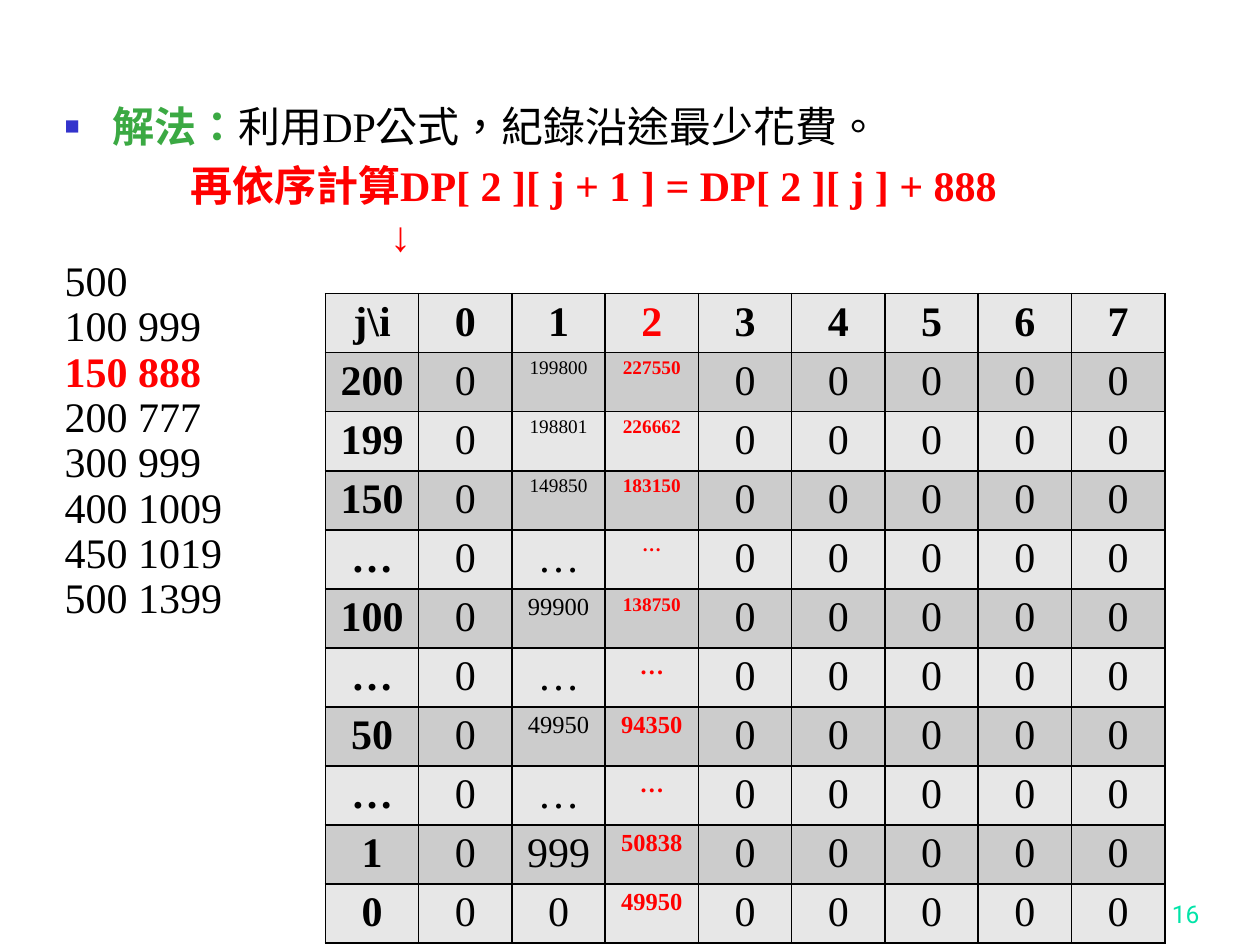
from dataclasses import dataclass

from lxml.etree import SubElement
from pptx import Presentation
from pptx.dml.color import RGBColor as Color
from pptx.enum.lang import MSO_LANGUAGE_ID as Language
from pptx.enum.text import MSO_ANCHOR as Anchor, MSO_AUTO_SIZE as AutoSize, PP_ALIGN as Align
from pptx.oxml.ns import qn
from pptx.util import Cm, Pt


@dataclass(frozen=True)
class Theme:
    serif: str = "Times New Roman"
    sans: str = "Roboto"
    black: str = "000000"
    red: str = "FF0000"
    green: str = "3BA943"
    bullet: str = "3333CC"
    number: str = "00E4A8"
    bands: tuple = ("E7E7E7", "CCCCCC")
    text: int = 24
    medium: int = 14
    small: int = 11


THEME = Theme()

# Content
PAGE_NUMBER = "16"
HEADING = [("解法：", THEME.green, True),
           ("利用DP公式，紀錄沿途最少花費。", THEME.black, False)]
FORMULA = "再依序計算DP[ 2 ][ j + 1 ] = DP[ 2 ][ j ] + 888"
ITEMS = ["500", "100 999", "150 888", "200 777", "300 999",
         "400 1009", "450 1019", "500 1399"]
CURRENT_ITEM = "150 888"

HEADER = ["j\\i", "0", "1", "2", "3", "4", "5", "6", "7"]
# Row label, then value and type size for columns 1 and 2
ROWS = [
    ("200", "199800", THEME.small, "227550", THEME.small),
    ("199", "198801", THEME.small, "226662", THEME.small),
    ("150", "149850", THEME.small, "183150", THEME.small),
    ("…", "…", THEME.text, "…", THEME.small),
    ("100", "99900", THEME.medium, "138750", THEME.small),
    ("…", "…", THEME.text, "…", THEME.medium),
    ("50", "49950", THEME.medium, "94350", THEME.medium),
    ("…", "…", THEME.text, "…", THEME.medium),
    ("1", "999", THEME.text, "50838", THEME.medium),
    ("0", "0", THEME.text, "49950", THEME.medium),
]
CURRENT_COLUMN = 3
COLUMN_WIDTH, ROW_HEIGHT = Cm(1.88), Cm(1.19)


def place(shape, left, top, width, height):
    shape.left, shape.top, shape.width, shape.height = map(Cm, (left, top, width, height))


def style(span, color, bold=False, size=THEME.text, name=THEME.serif):
    span.font.name, span.font.size, span.font.bold = name, Pt(size), bold
    span.font.color.rgb = Color.from_string(color)
    span.font.language_id = Language.TRADITIONAL_CHINESE


def write(para, spans):
    for text, color, bold in spans:
        span = para.add_run()
        span.text = text
        style(span, color, bold)


def indent(para, margin, bullet=False):
    props = para._p.get_or_add_pPr()
    props.set("marL", str(Cm(margin)))
    props.set("indent", str(-Cm(margin) if bullet else 0))
    if bullet:
        color = SubElement(props, qn("a:buClr"))
        SubElement(color, qn("a:srgbClr"), val=THEME.bullet)
        SubElement(props, qn("a:buSzPct"), val="60000")
        SubElement(props, qn("a:buChar"), char="■")
    else:
        SubElement(props, qn("a:buNone"))


def add_borders(cell):
    props = cell._tc.get_or_add_tcPr()
    for position, side in enumerate(("a:lnL", "a:lnR", "a:lnT", "a:lnB")):
        line = props.makeelement(qn(side), {"w": str(Pt(1))})
        fill = SubElement(line, qn("a:solidFill"))
        SubElement(fill, qn("a:srgbClr"), val=THEME.black)
        props.insert(position, line)


def fill_cell(cell, text, size, color, bold, band):
    # The low bottom margin keeps the text within the row height
    cell.margin_top, cell.margin_bottom = Cm(0.1), Cm(0.04)
    cell.margin_left = cell.margin_right = Cm(0.1)
    cell.fill.solid()
    cell.fill.fore_color.rgb = Color.from_string(band)
    add_borders(cell)
    para = cell.text_frame.paragraphs[0]
    para.text = text
    para.alignment = Align.CENTER
    style(para.runs[0], color, bold, size)


def add_page_number(page):
    box = page.shapes.add_textbox(0, 0, 0, 0)
    place(box, 19.15, 17.58, 5.28, 1.27)
    frame = box.text_frame
    frame.word_wrap = True
    frame.vertical_anchor = Anchor.BOTTOM
    frame.text = PAGE_NUMBER
    para = frame.paragraphs[0]
    para.alignment = Align.RIGHT
    style(para.runs[0], THEME.number, size=THEME.medium, name=THEME.sans)


def add_body(page):
    body = page.placeholders[1]
    place(body, 1.05, 1.9, 22.43, 15.62)
    frame = body.text_frame
    frame.auto_size = AutoSize.NONE

    # Spans, left margin in cm, space before, line spacing
    lines = [(HEADING, 0.96, 0, 1),
             ([(FORMULA, THEME.red, True)], 2.53, 4.8, 1),
             ([("↓", THEME.red, True)], 6.56, 0, 1)]
    for item in ITEMS:
        current = item == CURRENT_ITEM
        color = THEME.red if current else THEME.black
        lines.append(([(item, color, current)], 0, 0, 0.9))

    for index, (spans, margin, before, spacing) in enumerate(lines):
        para = frame.add_paragraph() if index else frame.paragraphs[0]
        indent(para, margin, bullet=index == 0)
        para.space_before, para.line_spacing = Pt(before), spacing
        write(para, spans)


def add_cost_table(page):
    grid = [[(text, THEME.text) for text in HEADER]]
    for label, first, first_size, second, second_size in ROWS:
        cells = [(label, THEME.text), ("0", THEME.text),
                 (first, first_size), (second, second_size)]
        grid.append(cells + [("0", THEME.text)] * (len(HEADER) - len(cells)))

    table = page.shapes.add_table(
        len(grid), len(HEADER), Cm(6.56), Cm(5.92),
        COLUMN_WIDTH * len(HEADER), ROW_HEIGHT * len(grid)).table
    table.first_row = table.horz_banding = False
    for column in table.columns:
        column.width = COLUMN_WIDTH
    for r, cells in enumerate(grid):
        table.rows[r].height = ROW_HEIGHT
        for c, (text, size) in enumerate(cells):
            current = c == CURRENT_COLUMN
            fill_cell(table.cell(r, c), text, size,
                      THEME.red if current else THEME.black,
                      r == 0 or c == 0 or current, THEME.bands[r % 2])


def main():
    deck = Presentation()
    deck.slide_width, deck.slide_height = Cm(25.4), Cm(19.05)
    page = deck.slides.add_slide(deck.slide_layouts[1])
    title = page.shapes.title._element
    title.getparent().remove(title)
    add_body(page)
    add_cost_table(page)
    add_page_number(page)
    deck.save("out.pptx")


if __name__ == "__main__":
    main()
